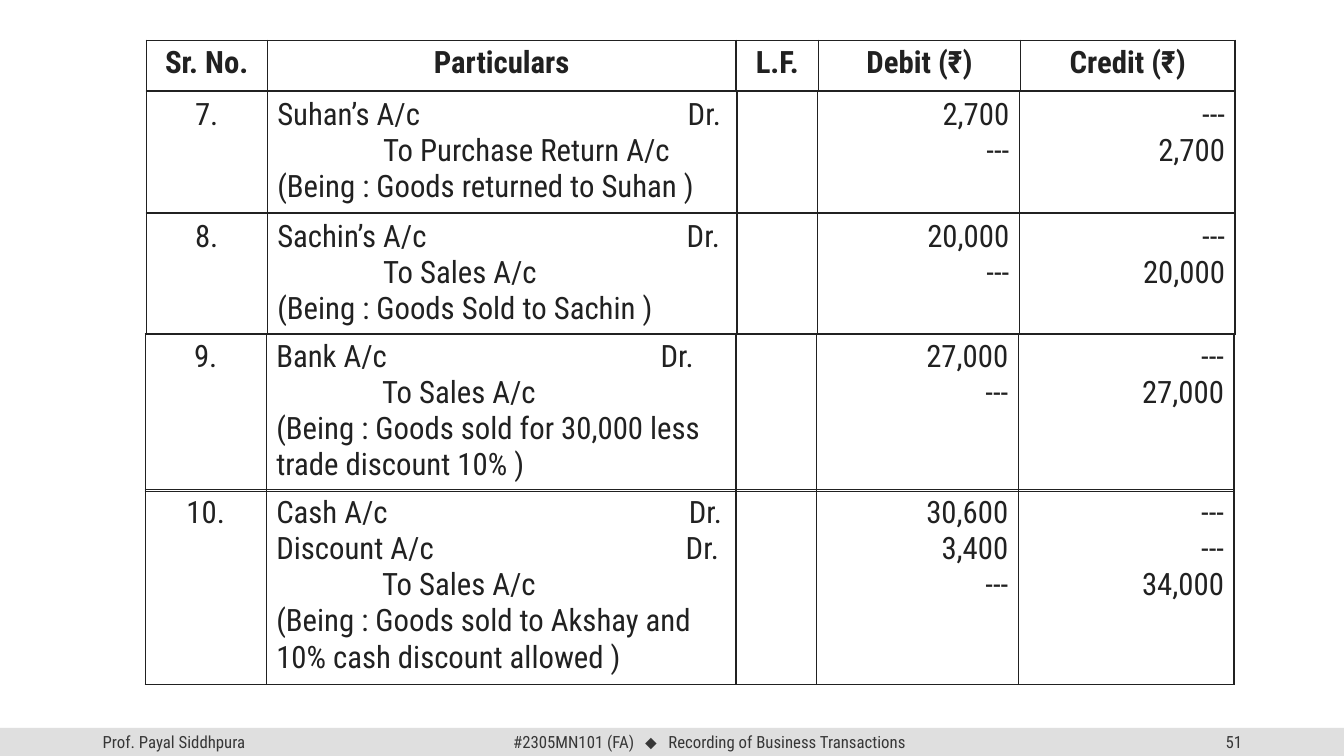
from lxml import etree
from pptx import Presentation
from pptx.dml.color import RGBColor
from pptx.enum.shapes import MSO_SHAPE
from pptx.enum.text import MSO_ANCHOR, PP_ALIGN
from pptx.oxml.ns import qn
from pptx.util import Inches, Pt

LEFT, CENTER, RIGHT = PP_ALIGN.LEFT, PP_ALIGN.CENTER, PP_ALIGN.RIGHT
MIDDLE = MSO_ANCHOR.MIDDLE
ROUNDED = MSO_SHAPE.ROUNDED_RECTANGLE

INK = RGBColor(0x21, 0x21, 0x21)
FOOTER_INK = RGBColor(0x37, 0x37, 0x37)
FOOTER_FILL = RGBColor(0xDF, 0xDF, 0xDF)

FONT = "Roboto Condensed"
BODY = {"name": FONT, "size": Pt(22), "bold": False}
HEADER = {**BODY, "bold": True}
FOOTER = {"name": FONT, "size": Pt(12)}

TABLE_WIDTHS = [1.2, 4.66, 0.8, 2, 2.14]
HEADER_WIDTHS = [1.2, 4.65, 0.82, 2, 2.13]
CREDIT_INDENT = 1.05
NIL = "---"
FOOTER_TOP, FOOTER_HEIGHT = 7.22, 0.28

# Each entry: left, top, height, number, debited accounts with the right edge
# of "Dr.", credited account, narration, debits, credits
ENTRIES = [
    (1.45, 0.91, 1.2, "7.", [("Suhan’s A/c", 4.4)], "Purchase Return A/c",
     "(Being : Goods returned to Suhan )", ["2,700"], "2,700"),
    (1.45, 2.12, 1.2, "8.", [("Sachin’s A/c", 4.39)], "Sales A/c",
     "(Being : Goods Sold to Sachin )", ["20,000"], "20,000"),
    (1.44, 3.31, 1.57, "9.", [("Bank A/c", 4.14)], "Sales A/c",
     "(Being : Goods sold for 30,000 less trade discount 10% )",
     ["27,000"], "27,000"),
    (1.44, 4.86, 1.93, "10.", [("Cash A/c", 4.42), ("Discount A/c", 4.39)],
     "Sales A/c",
     "(Being : Goods sold to Akshay and 10% cash discount allowed )",
     ["30,600", "3,400"], "34,000"),
]


class JournalSlide:
    def __init__(self, prs):
        self.slide = prs.slides.add_slide(prs.slide_layouts[6])

    def style(self, font, fmt, color):
        for key, value in fmt.items():
            setattr(font, key, value)
        font.color.rgb = color

    def add_tabs(self, p, stops):
        """Add tab stops given as (inches, alignment code) pairs."""
        tabs = etree.SubElement(p._p.get_or_add_pPr(), qn("a:tabLst"))
        for position, align in stops:
            etree.SubElement(tabs, qn("a:tab"), pos=str(Inches(position)), algn=align)

    def bar(self, x, y, w, h, color):
        sp = self.slide.shapes.add_shape(ROUNDED, Inches(x), Inches(y), Inches(w), Inches(h))
        sp.adjustments[0] = 0
        sp.shadow.inherit = False
        sp.fill.solid()
        sp.fill.fore_color.rgb = color
        sp.line.fill.background()

    def footer_text(self, x, w, runs, align=LEFT, margin=0.1, stops=()):
        box = self.slide.shapes.add_textbox(
            Inches(x), Inches(FOOTER_TOP), Inches(w), Inches(FOOTER_HEIGHT))
        tf = box.text_frame
        tf.word_wrap = True
        tf.vertical_anchor = MIDDLE
        tf.margin_left = Inches(margin)
        p = tf.paragraphs[0]
        p.alignment = align
        if stops:
            self.add_tabs(p, stops)
        for text, name in runs:
            r = p.add_run()
            r.text = text
            self.style(r.font, {**FOOTER, "name": name}, FOOTER_INK)

    def borders(self, cell):
        tcPr = cell._tc.get_or_add_tcPr()
        for side in ("lnL", "lnR", "lnT", "lnB"):
            ln = etree.SubElement(tcPr, qn(f"a:{side}"), w=str(Pt(1)))
            fill = etree.SubElement(ln, qn("a:solidFill"))
            etree.SubElement(fill, qn("a:srgbClr"), val=str(INK))

    def table_row(self, x, y, h, widths, cells, fmt):
        """Add a one-row table; a cell is (alignment, [(text, indent, tab)])."""
        frame = self.slide.shapes.add_table(
            1, len(widths), Inches(x), Inches(y), Inches(sum(widths)), Inches(h))
        table = frame.table
        table.first_row = table.horz_banding = False
        for column, width in zip(table.columns, widths):
            column.width = Inches(width)
        for i, (align, lines) in enumerate(cells):
            cell = table.cell(0, i)
            self.borders(cell)
            cell.fill.background()
            tf = cell.text_frame
            for n, (text, indent, tab) in enumerate(lines):
                p = tf.add_paragraph() if n else tf.paragraphs[0]
                p.alignment = align
                if indent:
                    p._p.get_or_add_pPr().set("marL", str(Inches(indent)))
                if tab:
                    self.add_tabs(p, [(tab, "r")])
                r = p.add_run()
                r.text = text
                self.style(r.font, fmt, INK)

    def entry(self, x, y, h, number, debited, credited, narration, debits, credit):
        particulars = [(f"{name}\tDr.", 0, edge) for name, edge in debited]
        particulars += [(f"To {credited}", CREDIT_INDENT, 0), (narration, 0, 0)]
        debit_lines = plain(*debits, NIL)
        credit_lines = plain(*[NIL] * len(debits), credit)
        cells = [(CENTER, plain(number)), (LEFT, particulars), (LEFT, []),
                 (RIGHT, debit_lines), (RIGHT, credit_lines)]
        self.table_row(x, y, h, TABLE_WIDTHS, cells, BODY)


def plain(*texts):
    """Turn texts into cell lines without indent or tab."""
    return [(text, 0, 0) for text in texts]


def main():
    prs = Presentation()
    prs.slide_width, prs.slide_height = Inches(13.33), Inches(7.5)
    journal = JournalSlide(prs)

    journal.bar(0, FOOTER_TOP, 13.33, FOOTER_HEIGHT, FOOTER_FILL)
    journal.footer_text(0.92, 3, [("Prof. Payal Siddhpura", FONT)])
    journal.footer_text(9.42, 3, [("51", FONT)], RIGHT)
    journal.footer_text(
        4.43, 5.24,
        [("#2305MN101 (FA)\t", FONT), ("⬥\t", "Arial"),
         ("Recording of Business Transactions", FONT)],
        margin=0.66, stops=[(1.31, "l"), (1.54, "l")])

    titles = ["Sr. No.", "Particulars", "L.F.", "Debit (₹)", "Credit (₹)"]
    journal.table_row(1.45, 0.4, 0.5, HEADER_WIDTHS,
                      [(CENTER, plain(title)) for title in titles], HEADER)
    for entry in ENTRIES:
        journal.entry(*entry)

    prs.save("out.pptx")


if __name__ == "__main__":
    main()
